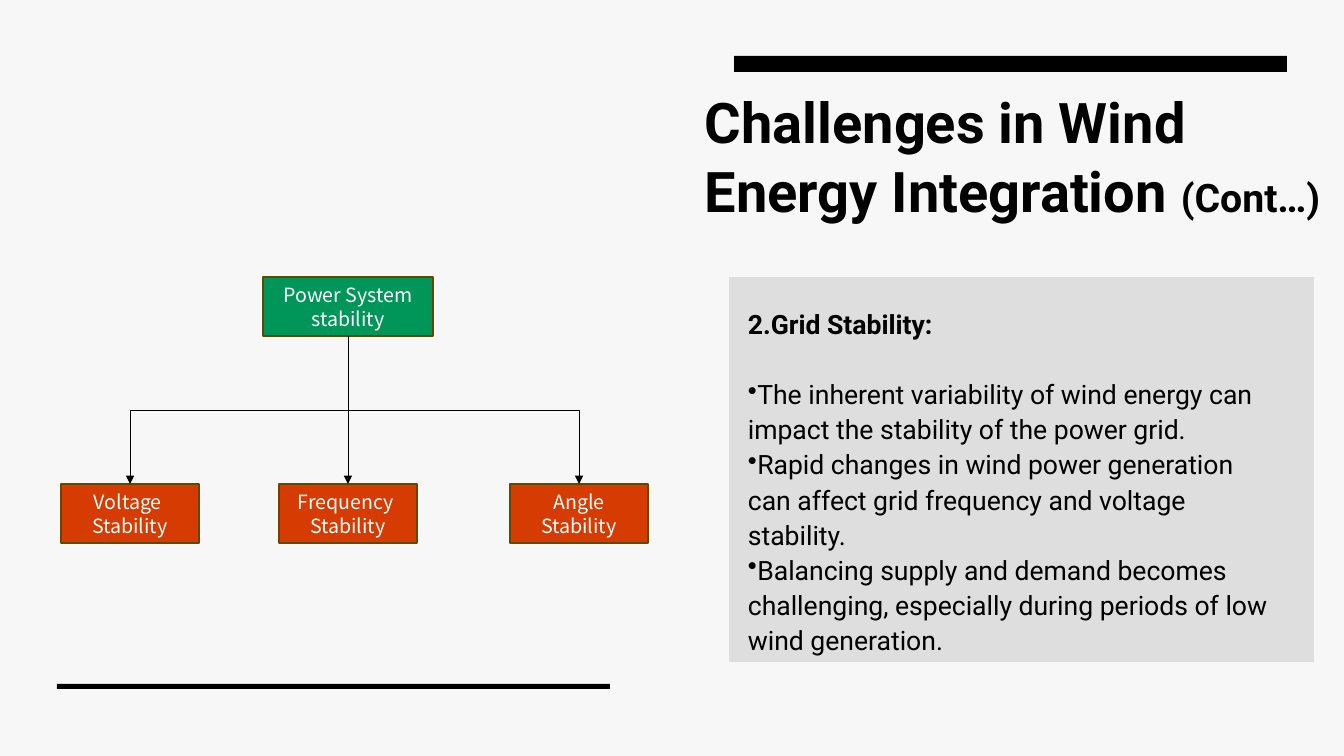
"""Builds the grid stability slide on wind energy integration challenges."""
from lxml import etree
from pptx import Presentation
from pptx import util as u
from pptx.dml.color import RGBColor
from pptx.enum import shapes, text
from pptx.oxml import ns

PX = 12192000 / 1344
BLACK = RGBColor(0x00, 0x00, 0x00)
WHITE = RGBColor(0xFF, 0xFF, 0xFF)
PAPER = RGBColor(0xF7, 0xF7, 0xF7)
GREY = RGBColor(0xDE, 0xDE, 0xDE)
GREEN = RGBColor(0x00, 0x95, 0x59)
ORANGE = RGBColor(0xD6, 0x3B, 0x01)
BROWN = RGBColor(0x67, 0x46, 0x00)


def px(*lengths):
    return [u.Emu(round(length * PX)) for length in lengths]


def style_font(paragraph, name, size, color, bold=False):
    font = paragraph.font
    font.name, font.size, font.bold = name, u.Pt(size), bold
    font.color.rgb = color


presentation = Presentation()
presentation.slide_width, presentation.slide_height = px(1344, 756)
slide = presentation.slides.add_slide(presentation.slide_layouts[6])
slide.background.fill.solid()
slide.background.fill.fore_color.rgb = PAPER

panels = [
    (734, 56, 553, 16, BLACK),
    (729, 277, 585, 385, GREY),
    (57, 684, 553, 5, BLACK),
]
for left, top, width, height, color in panels:
    panel = slide.shapes.add_shape(shapes.MSO_SHAPE.RECTANGLE, *px(left, top, width, height))
    panel.shadow.inherit = False
    panel.fill.solid()
    panel.fill.fore_color.rgb = color
    panel.line.fill.background()

title = slide.shapes.add_textbox(*px(695, 90, 721, 214)).text_frame
title.word_wrap = True
title.text = "Challenges in Wind\nEnergy Integration "
for paragraph in title.paragraphs:
    style_font(paragraph, "Roboto", 40, BLACK, True)
    paragraph.line_spacing = 0.9
    paragraph.space_after = u.Pt(6)
continuation = title.paragraphs[1].add_run()
continuation.text = "(Cont…)"
continuation.font.size = u.Pt(28)

body = slide.shapes.add_textbox(*px(738, 300, 545, 333)).text_frame
body.word_wrap = True
body.text = "\n".join([
    "2.Grid Stability:",
    "The inherent variability of wind energy can impact the stability of the power grid.",
    "Rapid changes in wind power generation can affect grid frequency and voltage stability.",
    "Balancing supply and demand becomes challenging, especially during periods of low wind generation.",
])
heading, *points = body.paragraphs
style_font(heading, "Roboto", 19, BLACK, True)
heading.line_spacing = 1.1
heading.space_after = u.Pt(25)
for point in points:
    style_font(point, "Roboto", 19, BLACK)
    point.line_spacing = 1.1
    properties = point._p.get_or_add_pPr()
    properties.set("marL", "0")
    properties.set("indent", "0")
    etree.SubElement(properties, ns.qn("a:buChar")).set("char", "•")

nodes = [
    ("Power System stability", 263, 277, 170, GREEN),
    ("Voltage \nStability", 61, 484, 138, ORANGE),
    ("Frequency \nStability", 279, 484, 138, ORANGE),
    ("Angle Stability", 510, 484, 138, ORANGE),
]
boxes = []
for label, left, top, width, color in nodes:
    box = slide.shapes.add_shape(shapes.MSO_SHAPE.RECTANGLE, *px(left, top, width, 59))
    box.shadow.inherit = False
    box.fill.solid()
    box.fill.fore_color.rgb = color
    box.line.color.rgb = BROWN
    box.line.width = u.Pt(1)
    frame = box.text_frame
    frame.word_wrap = True
    frame.vertical_anchor = text.MSO_ANCHOR.MIDDLE
    frame.text = label
    for paragraph in frame.paragraphs:
        style_font(paragraph, "Noto Sans CJK SC", 14, WHITE)
        paragraph.alignment = text.PP_ALIGN.CENTER
    boxes.append(box)
root, voltage, frequency, angle = boxes

trunk = slide.shapes.add_connector(shapes.MSO_CONNECTOR.STRAIGHT, *px(348, 336, 348, 484))
trunk.begin_connect(root, 2)
trunk.end_connect(frequency, 0)
arrows = [trunk]

drop = 148
for target_x, turn in ((130, 90), (579, 270)):
    middle_x, middle_y = (348 + target_x) / 2, 410
    reach = abs(target_x - 348)
    side = drop / 2 if turn == 90 else -drop / 2
    branch = slide.shapes.add_connector(
        shapes.MSO_CONNECTOR.ELBOW,
        *px(middle_x - side, middle_y - reach / 2, middle_x + side, middle_y + reach / 2))
    branch._element.spPr.find(ns.qn("a:xfrm")).set("rot", str(turn * 60000))
    arrows.append(branch)

for arrow in arrows:
    arrow.line.color.rgb = BLACK
    arrow.line.width = u.Pt(0.5)
    etree.SubElement(arrow.line._get_or_add_ln(), ns.qn("a:tailEnd")).set("type", "triangle")
    etree.SubElement(arrow._element.spPr, ns.qn("a:effectLst"))

presentation.save("out.pptx")
